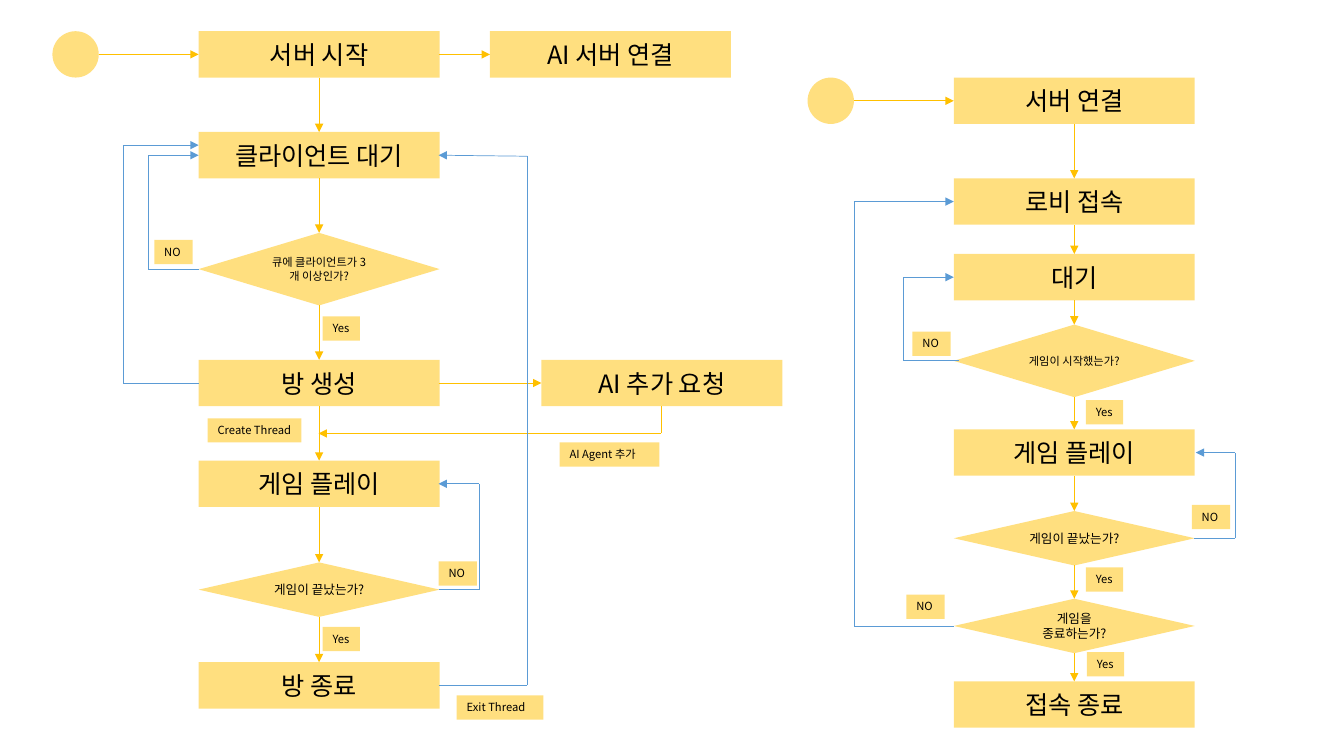
import itertools

import lxml.etree
import pptx
import pptx.dml.color
import pptx.enum.shapes
import pptx.enum.text
import pptx.oxml.ns
import pptx.util

CELLS_PER_INCH = 10
FONT = "Noto Sans CJK KR"
GOLD, BLUE, BLACK = "FFC000", "5B9BD5", "000000"
BOX_WIDTH, BOX_HEIGHT = 23.9, 4.6
SERVER_LEFT, CLIENT_LEFT = 19.7, 94.6
SHAPES = pptx.enum.shapes.MSO_SHAPE

SERVER_STEPS = [
    ("서버 시작", 3.1, BOX_HEIGHT, 18),
    ("클라이언트 대기", 13.1, BOX_HEIGHT, 18),
    ("큐에 클라이언트가 3개 이상인가?", 23.1, 7.2, 8),
    ("방 생성", 35.7, BOX_HEIGHT, 18),
    ("게임 플레이", 45.7, BOX_HEIGHT, 18),
    ("게임이 끝났는가?", 55.8, 5.4, 9),
    ("방 종료", 65.7, BOX_HEIGHT, 18),
]
CLIENT_STEPS = [
    ("서버 연결", 7.7, BOX_HEIGHT, 18),
    ("로비 접속", 17.7, BOX_HEIGHT, 18),
    ("대기", 25.2, BOX_HEIGHT, 18),
    ("게임이 시작했는가?", 32.2, 7.2, 8),
    ("게임 플레이", 42.6, BOX_HEIGHT, 18),
    ("게임이 끝났는가?", 50.7, 5.4, 9),
    ("게임을\n종료하는가?", 59.4, 5.4, 9),
    ("접속 종료", 67.6, BOX_HEIGHT, 18),
]
SIDE_BOXES = [("AI 서버 연결", 48.6, 3.1), ("AI 추가 요청", 53.7, 35.7)]
LABELS = [
    ("NO", 15.3, 23.8, 3.8), ("NO", 43.5, 55.7, 3.8),
    ("NO", 90.5, 32.9, 3.8), ("NO", 118.2, 50.1, 3.8),
    ("NO", 89.9, 59, 3.8),
    ("Yes", 32, 31.4, 3.7), ("Yes", 32, 62.2, 3.7),
    ("Yes", 107.7, 39.7, 3.7), ("Yes", 107.7, 56.3, 3.7),
    ("Yes", 107.8, 64.7, 3.7),
    ("Create Thread", 20.6, 41.5, 9.3), ("Exit Thread", 45.3, 69, 8.6),
    ("AI Agent 추가", 55.5, 43.9, 9.9),
]
LOOPS = [
    [(19.7, 26.7), (14.7, 26.7), (14.7, 15.4), (19.7, 15.4)],
    [(19.7, 38), (12.2, 38), (12.2, 14.4), (19.7, 14.4)],
    [(43.5, 58.5), (47.5, 58.5), (47.5, 48), (43.5, 48)],
    [(43.5, 68), (52.3, 68), (52.3, 15.5), (43.5, 15.4)],
    [(95.1, 35.8), (89.6, 35.8), (89.6, 27.5), (94.6, 27.5)],
    [(118.4, 53.4), (122.5, 53.4), (122.5, 44.9), (118.6, 44.9)],
    [(94.6, 62.1), (84.7, 62.1), (84.7, 20), (94.6, 20)],
]
SIDE_ROUTES = [
    [(43.5, 5.4), (48.6, 5.4)],
    [(43.5, 38), (53.7, 38)],
    [(65.6, 40.3), (65.6, 43), (31.6, 43)],
]


def cells(*lengths):
    """Turn grid cells into slide lengths."""
    return [pptx.util.Inches(length / CELLS_PER_INCH) for length in lengths]


def color(code):
    """Turn a hex string into a colour."""
    return pptx.dml.color.RGBColor.from_string(code)


def add_child(parent, tag, **attributes):
    """Append a DrawingML element to a parent."""
    child = lxml.etree.SubElement(parent, pptx.oxml.ns.qn(tag))
    for name, value in attributes.items():
        child.set(name, value)


def fill_half(shape):
    """Fill a shape with half-transparent gold."""
    shape.fill.solid()
    shape.fill.fore_color.rgb = color(GOLD)
    tint = shape.fill._xPr.find(".//" + pptx.oxml.ns.qn("a:srgbClr"))
    add_child(tint, "a:alpha", val="50000")


def write(frame, text, size=8, align=None):
    """Write text into a frame with the diagram's font."""
    frame.text = text
    for paragraph in frame.paragraphs:
        paragraph.alignment = align
        for run in paragraph.runs:
            run.font.size = pptx.util.Pt(size)
            run.font.color.rgb = color(BLACK)
            run.font.name = FONT
            add_child(run._r.get_or_add_rPr(), "a:ea", typeface=FONT)


def add_node(slide, kind, text, left, top, width=BOX_WIDTH, height=BOX_HEIGHT, size=18):
    """Draw one node of the flow with centred text."""
    shape = slide.shapes.add_shape(kind, *cells(left, top, width, height))
    shape.shadow.inherit = False
    shape.line.fill.background()
    fill_half(shape)
    if text:
        frame = shape.text_frame
        frame.word_wrap = True
        frame.vertical_anchor = pptx.enum.text.MSO_ANCHOR.MIDDLE
        write(frame, text, size=size, align=pptx.enum.text.PP_ALIGN.CENTER)


def add_label(slide, text, left, top, width):
    """Draw a small caption beside a route."""
    label = slide.shapes.add_textbox(*cells(left, top, width, 2.4))
    fill_half(label)
    frame = label.text_frame
    frame.word_wrap = width > 4
    frame.auto_size = pptx.enum.text.MSO_AUTO_SIZE.SHAPE_TO_FIT_TEXT
    write(frame, text)


def add_route(slide, points, code=GOLD):
    """Draw straight connectors through points, with an arrowhead at the end."""
    for start, end in itertools.pairwise(points):
        connector = slide.shapes.add_connector(
            pptx.enum.shapes.MSO_CONNECTOR.STRAIGHT, *cells(*start, *end))
        connector.line.color.rgb = color(code)
        connector.line.width = pptx.util.Pt(0.5)
        if end == points[-1]:
            add_child(connector.line._get_or_add_ln(), "a:tailEnd", type="triangle")
        add_child(connector._element.spPr, "a:effectLst")


def add_flow(slide, left, steps):
    """Draw a start circle and a column of steps joined by arrows."""
    first_top = steps[0][1]
    middle, center = first_top + BOX_HEIGHT / 2, left + BOX_WIDTH / 2
    circle_left = left - 14.5
    add_node(slide, SHAPES.FLOWCHART_CONNECTOR, "", circle_left, first_top, width=BOX_HEIGHT)
    add_route(slide, [(circle_left + BOX_HEIGHT, middle), (left, middle)])
    for text, top, height, size in steps:
        kind = SHAPES.RECTANGLE if height == BOX_HEIGHT else SHAPES.FLOWCHART_DECISION
        add_node(slide, kind, text, left, top, height=height, size=size)
    for (_, top, height, _), following in itertools.pairwise(steps):
        add_route(slide, [(center, top + height), (center, following[1])])


def main():
    """Build the server and client flowcharts."""
    presentation = pptx.Presentation()
    presentation.slide_width = pptx.util.Inches(13.33)
    presentation.slide_height = pptx.util.Inches(7.5)
    slide = presentation.slides.add_slide(presentation.slide_layouts[6])
    add_flow(slide, SERVER_LEFT, SERVER_STEPS)
    add_flow(slide, CLIENT_LEFT, CLIENT_STEPS)
    for text, left, top in SIDE_BOXES:
        add_node(slide, SHAPES.RECTANGLE, text, left, top)
    for points in SIDE_ROUTES:
        add_route(slide, points)
    for points in LOOPS:
        add_route(slide, points, code=BLUE)
    for label in LABELS:
        add_label(slide, *label)
    presentation.save("out.pptx")


main()
